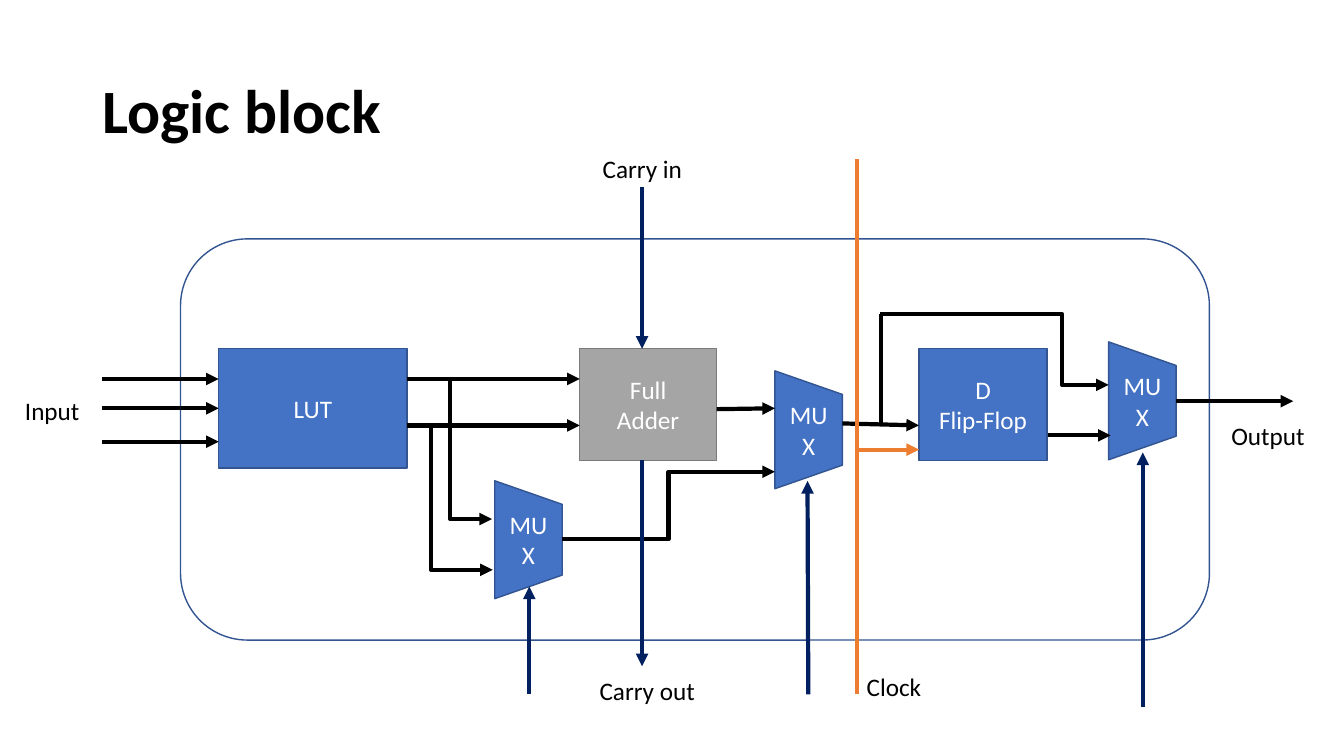
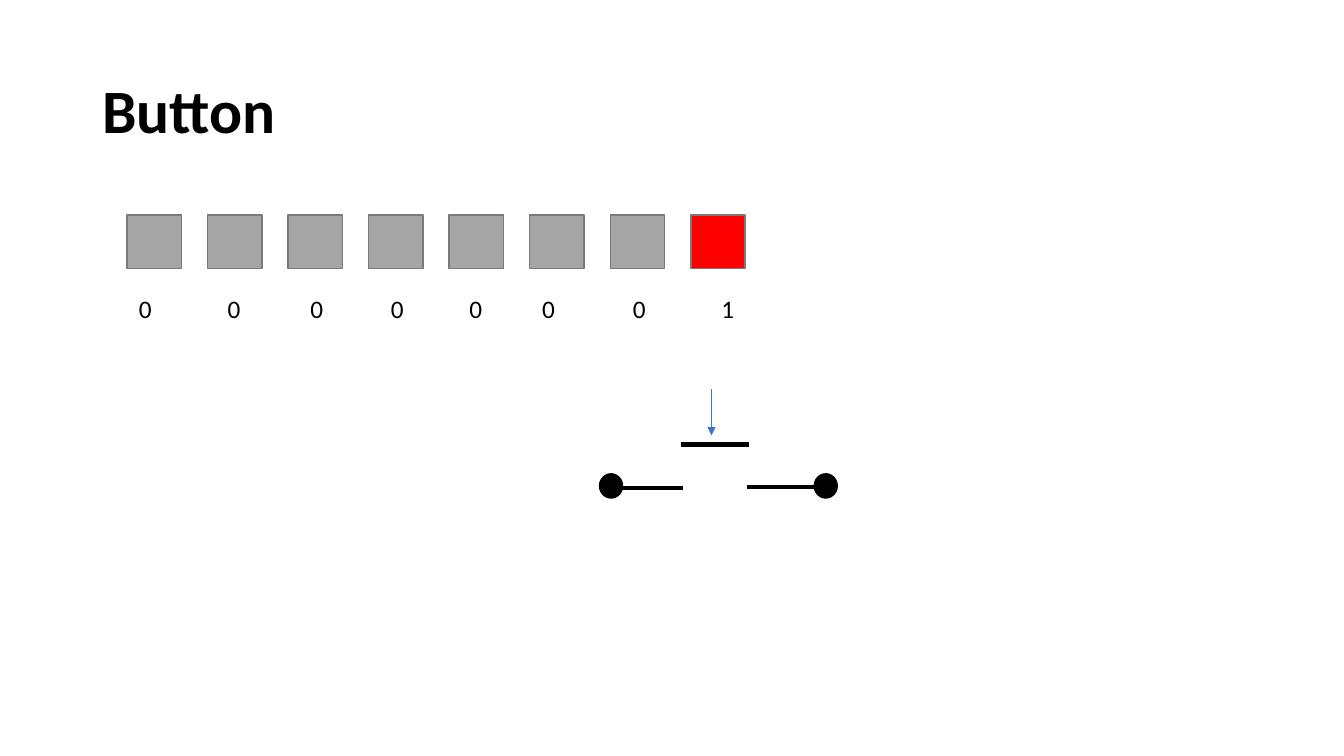
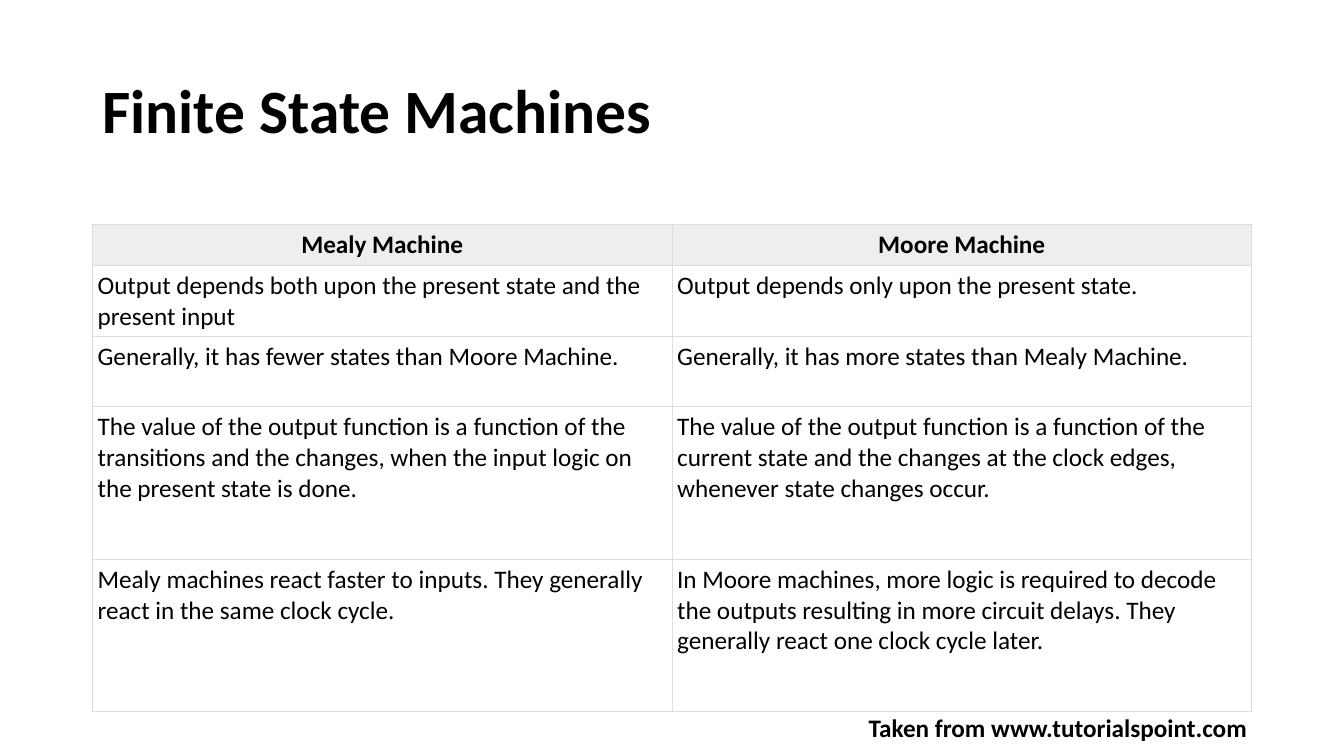
from pptx import Presentation
from pptx.dml.color import RGBColor
from pptx.enum.shapes import MSO_CONNECTOR, MSO_SHAPE
from pptx.enum.text import MSO_ANCHOR, MSO_AUTO_SIZE, PP_ALIGN
from pptx.oxml.ns import qn
from pptx.util import Cm, Pt
from lxml.etree import SubElement

BLACK = RGBColor(0x00, 0x00, 0x00)
WHITE = RGBColor(0xFF, 0xFF, 0xFF)
BLUE = RGBColor(0x44, 0x72, 0xC4)
DARK_BLUE = RGBColor(0x32, 0x54, 0x91)
NAVY = RGBColor(0x00, 0x20, 0x60)
GRAY = RGBColor(0xA5, 0xA5, 0xA5)
DARK_GRAY = RGBColor(0x7A, 0x7A, 0x7A)
ORANGE = RGBColor(0xED, 0x7D, 0x31)
RED = RGBColor(0xFF, 0x00, 0x00)
HEADER_FILL = RGBColor(0xEE, 0xEE, 0xEE)
BORDER = "DDDDDD"
FONT = "Calibri"

MACHINES = [
    ("Mealy Machine", "Moore Machine"),
    ("Output depends both upon the present state and the present input",
     "Output depends only upon the present state."),
    ("Generally, it has fewer states than Moore Machine.",
     "Generally, it has more states than Mealy Machine."),
    ("The value of the output function is a function of the transitions and the changes, "
     "when the input logic on the present state is done.",
     "The value of the output function is a function of the current state and the changes "
     "at the clock edges, whenever state changes occur."),
    ("Mealy machines react faster to inputs. They generally react in the same clock cycle.",
     "In Moore machines, more logic is required to decode the outputs resulting in more "
     "circuit delays. They generally react one clock cycle later."),
]
ROW_HEIGHTS = [0.74, 1.78, 1.78, 3.84, 3.84]


def write(frame, text, size=18, color=BLACK, bold=False, align=PP_ALIGN.LEFT):
    frame.text = text
    for paragraph in frame.paragraphs:
        paragraph.alignment = align
        paragraph.font.name = FONT
        paragraph.font.size = Pt(size)
        paragraph.font.bold = bold
        paragraph.font.color.rgb = color


def add_titled_page(deck, title):
    page = deck.slides.add_slide(deck.slide_layouts[6])
    box = page.shapes.add_textbox(Cm(2.33), Cm(1.01), Cm(29.21), Cm(3.68))
    frame = box.text_frame
    frame.word_wrap = True
    frame.vertical_anchor = MSO_ANCHOR.MIDDLE
    write(frame, title, size=44, bold=True)
    frame.paragraphs[0].line_spacing = 0.9
    return page


def add_label(page, text, left, top, width, bold=False):
    box = page.shapes.add_textbox(Cm(left), Cm(top), Cm(width), Cm(1.02))
    box.text_frame.word_wrap = False
    box.text_frame.auto_size = MSO_AUTO_SIZE.SHAPE_TO_FIT_TEXT
    write(box.text_frame, text, bold=bold)


def add_block(page, kind, left, top, width, height, fill, outline, text=""):
    block = page.shapes.add_shape(kind, Cm(left), Cm(top), Cm(width), Cm(height))
    block.shadow.inherit = False
    if fill is None:
        block.fill.background()
    else:
        block.fill.solid()
        block.fill.fore_color.rgb = fill
    block.line.color.rgb = outline
    block.line.width = Pt(1)
    if text:
        block.text_frame.vertical_anchor = MSO_ANCHOR.MIDDLE
        write(block.text_frame, text, color=WHITE, align=PP_ALIGN.CENTER)
    return block


def add_mux(page, center_x, center_y):
    width, height = 2.97, 1.7
    mux = add_block(page, MSO_SHAPE.FLOWCHART_MANUAL_OPERATION, center_x - width / 2,
                    center_y - height / 2, width, height, BLUE, DARK_BLUE, "MUX")
    mux.rotation = 270
    mux.text_frame.word_wrap = True
    mux.element.txBody.find(qn("a:bodyPr")).set("vert", "vert")


def add_wire(page, begin, end, color=BLACK, width=3, arrow=True, bend=None):
    kind = MSO_CONNECTOR.STRAIGHT if bend is None else MSO_CONNECTOR.ELBOW
    wire = page.shapes.add_connector(kind, *map(Cm, begin + end))
    wire.line.color.rgb = color
    wire.line.width = Pt(width)
    properties = wire.element.spPr
    if arrow:
        SubElement(properties.find(qn("a:ln")), qn("a:tailEnd"), type="triangle")
    SubElement(properties, qn("a:effectLst"))
    if bend is not None:
        guides = properties.find(qn("a:prstGeom")).get_or_add_avLst()
        SubElement(guides, qn("a:gd"), name="adj1", fmla=f"val {round(bend * 100000)}")
    return wire


def add_cell(cell, text, header):
    cell.margin_left = cell.margin_right = cell.margin_top = cell.margin_bottom = Cm(0.13)
    write(cell.text_frame, text, bold=header,
          align=PP_ALIGN.CENTER if header else PP_ALIGN.LEFT)
    properties = cell._tc.get_or_add_tcPr()
    for side in ("a:lnL", "a:lnR", "a:lnT", "a:lnB"):
        border = SubElement(properties, qn(side), w=str(Pt(0.6)))
        SubElement(SubElement(border, qn("a:solidFill")), qn("a:srgbClr"), val=BORDER)
    if header:
        cell.fill.solid()
        cell.fill.fore_color.rgb = HEADER_FILL
    else:
        cell.fill.background()


def build_logic_block(deck):
    page = add_titled_page(deck, "Logic block")
    lut = add_block(page, MSO_SHAPE.RECTANGLE, 5.51, 8.79, 4.75, 3, BLUE, DARK_BLUE, "LUT")
    add_block(page, MSO_SHAPE.RECTANGLE, 14.61, 8.79, 3.45, 2.82, GRAY, DARK_GRAY, "Full\nAdder")
    for center in ((13.32, 13.6), (20.38, 10.83), (28.79, 10.1)):
        add_mux(page, *center)
    add_block(page, MSO_SHAPE.RECTANGLE, 23.16, 8.79, 3.23, 2.82, BLUE, DARK_BLUE,
              "D\nFlip-Flop")
    add_block(page, MSO_SHAPE.ROUNDED_RECTANGLE, 4.55, 6.02, 25.93, 10.11, None, DARK_BLUE)

    input_wires = [add_wire(page, (2.57, y), (5.51, y)) for y in (9.55, 10.29, 11.13)]
    input_wires[1].end_connect(lut, 1)
    for y in (9.55, 10.72):
        add_wire(page, (10.26, y), (14.61, y))
    for begin, end, bend in (
        ((11.35, 9.55), (12.4, 13.08), 0),
        ((10.87, 10.72), (12.42, 14.36), 0),
        ((29.64, 10.11), (32.59, 10.11), None),
        ((18.06, 10.31), (19.53, 10.29), None),
        ((14.17, 13.59), (19.53, 11.89), 0.5),
        ((21.23, 10.67), (23.16, 10.72), None),
        ((26.4, 10.97), (27.99, 10.97), None),
        ((25.6, 7.92), (27.94, 9.7), 0.5),
    ):
        add_wire(page, begin, end, bend=bend)
    add_wire(page, (22.2, 10.67), (22.2, 7.92), arrow=False)
    add_wire(page, (25.6, 7.92), (22.17, 7.92), arrow=False)
    add_wire(page, (21.59, 4.01), (21.59, 17.5), ORANGE, arrow=False)
    add_wire(page, (21.59, 11.33), (23.16, 11.33), ORANGE)
    for begin, end in (
        ((13.34, 17.5), (13.34, 14.78)),
        ((20.37, 17.5), (20.35, 12.12)),
        ((28.8, 17.81), (28.8, 11.4)),
        ((16.18, 4.7), (16.18, 8.79)),
        ((16.18, 11.6), (16.18, 16.79)),
    ):
        add_wire(page, begin, end, NAVY)

    for text, left, top, width in (
        ("Clock", 21.59, 16.79, 2.06),
        ("Carry in", 14.94, 3.73, 2.77),
        ("Carry out", 14.86, 16.89, 3.2),
        ("Input", 0.38, 9.83, 2.01),
        ("Output", 30.78, 10.46, 2.51),
    ):
        add_label(page, text, left, top, width)


def build_button(deck):
    page = add_titled_page(deck, "Button")
    digit_lefts = (3.25, 5.49, 7.57, 9.6, 11.58, 13.41, 15.7, 17.93)
    for index, (digit, digit_left) in enumerate(zip("00000001", digit_lefts)):
        add_block(page, MSO_SHAPE.RECTANGLE, 3.2 + 2.03 * index, 5.42, 1.37, 1.35,
                  RED if digit == "1" else GRAY, DARK_GRAY)
        add_label(page, digit, digit_left, 7.26, 0.84)
    for left, y in ((15.52, 12.29), (18.82, 12.27), (17.17, 11.2)):
        add_wire(page, (left + 1.7, y), (left, y), arrow=False)
    for left in (15.11, 20.52):
        add_block(page, MSO_SHAPE.OVAL, left, 11.94, 0.58, 0.61, BLACK, BLACK)
    add_wire(page, (17.93, 9.8), (17.93, 10.97), BLUE, width=1)


def build_state_machines(deck):
    page = add_titled_page(deck, "Finite State Machines")
    table = page.shapes.add_table(len(MACHINES), 2, Cm(2.33), Cm(5.66), Cm(29.21),
                                  Cm(sum(ROW_HEIGHTS))).table
    table.first_row = False
    table.horz_banding = False
    for row_index, (texts, height) in enumerate(zip(MACHINES, ROW_HEIGHTS)):
        table.rows[row_index].height = Cm(height)
        for column_index, text in enumerate(texts):
            add_cell(table.cell(row_index, column_index), text, header=row_index == 0)
    add_label(page, "Taken from www.tutorialspoint.com", 21.64, 17.83, 10.11, bold=True)


def main():
    deck = Presentation()
    deck.slide_width = Cm(33.87)
    deck.slide_height = Cm(19.05)
    build_logic_block(deck)
    build_button(deck)
    build_state_machines(deck)
    deck.save("out.pptx")


if __name__ == "__main__":
    main()
